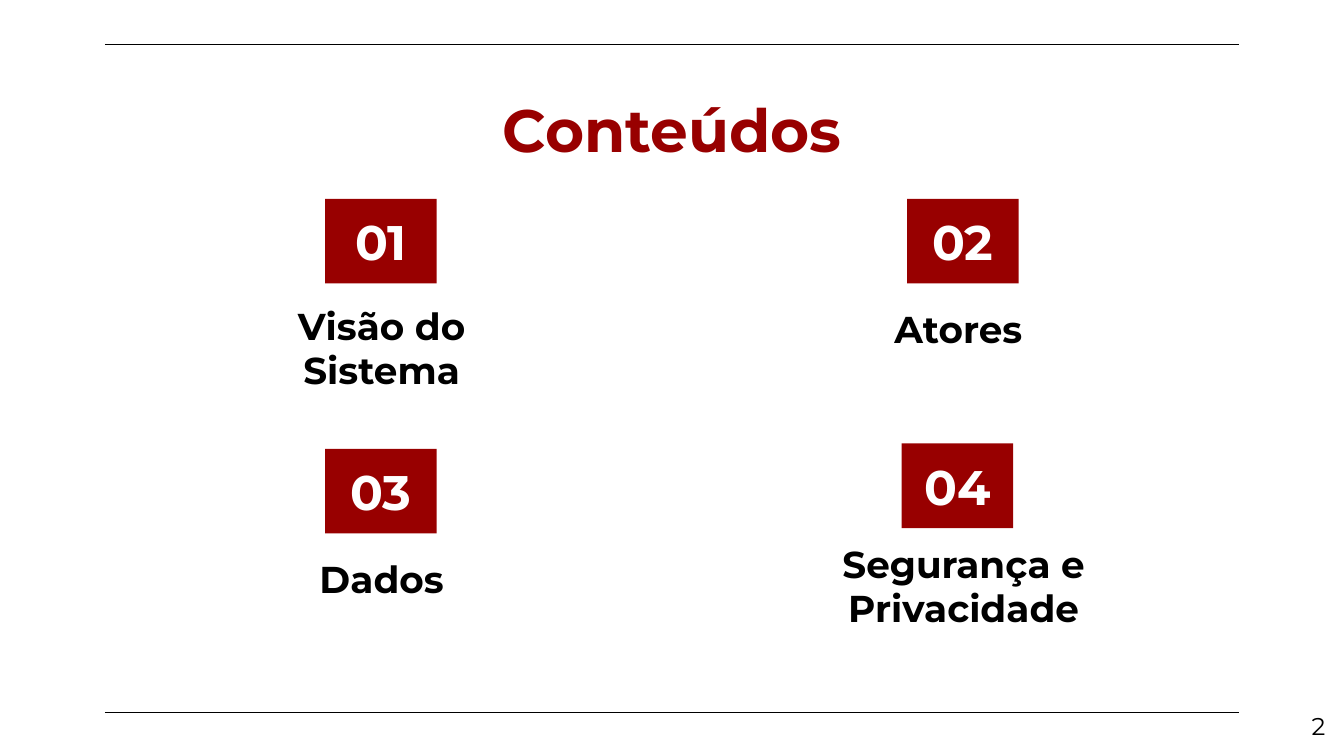
import dataclasses

import pptx
import pptx.dml.color
import pptx.enum.shapes
import pptx.enum.text
import pptx.oxml
import pptx.oxml.ns
import pptx.util

Inches = pptx.util.Inches
ALIGN = pptx.enum.text.PP_ALIGN
ANCHOR = pptx.enum.text.MSO_ANCHOR


@dataclasses.dataclass(frozen=True)
class Theme:
    font: str = "Montserrat"
    accent: str = "980000"
    ink: str = "000000"
    paper: str = "FFFFFF"
    title_size: float = 32
    number_size: float = 26
    topic_size: float = 20
    page_size: float = 13
    rule_width: float = 0.75


@dataclasses.dataclass(frozen=True)
class Box:
    left: float
    top: float
    width: float
    height: float

    def lengths(self) -> list[int]:
        return [Inches(value) for value in dataclasses.astuple(self)]


@dataclasses.dataclass(frozen=True)
class Topic:
    label: str
    badge_left: float
    badge_top: float
    label_box: Box


THEME = Theme()
BADGE_WIDTH, BADGE_HEIGHT = 0.83, 0.63
RULE_LEFT, RULE_RIGHT = 0.78, 9.22
RULE_TOPS = (0.33, 5.3)

TOPICS = [
    Topic("Visão do Sistema", 2.42, 1.48, Box(1.5, 2.23, 2.68, 0.79)),
    Topic("Atores ", 6.75, 1.48, Box(5.96, 2.23, 2.42, 0.48)),
    Topic("Dados", 2.42, 3.34, Box(1.63, 4.09, 2.42, 0.48)),
    Topic("Segurança e Privacidade", 6.71, 3.3, Box(5.83, 3.97, 2.68, 0.82)),
]


def color(value: str) -> pptx.dml.color.RGBColor:
    return pptx.dml.color.RGBColor.from_string(value)


def write_text(shape, text: str, *, size: float, ink: str, bold: bool = True,
               align=ALIGN.CENTER, anchor=ANCHOR.TOP) -> None:
    """Fill a shape with one formatted paragraph."""
    frame = shape.text_frame
    frame.word_wrap = True
    frame.auto_size = pptx.enum.text.MSO_AUTO_SIZE.NONE
    frame.vertical_anchor = anchor
    frame.margin_left = frame.margin_right = Inches(0.1)
    frame.margin_top = frame.margin_bottom = Inches(0.1)
    paragraph = frame.paragraphs[0]
    paragraph.alignment = align
    paragraph.line_spacing = 1.0
    paragraph.space_before = pptx.util.Pt(0)
    run = paragraph.add_run()
    run.text = text
    run.font.name = THEME.font
    run.font.size = pptx.util.Pt(size)
    run.font.bold = bold
    run.font.color.rgb = color(ink)


def draw_rule(slide, top: float) -> None:
    rule = slide.shapes.add_connector(
        pptx.enum.shapes.MSO_CONNECTOR.STRAIGHT,
        Inches(RULE_LEFT), Inches(top), Inches(RULE_RIGHT), Inches(top))
    rule.line.color.rgb = color(THEME.ink)
    rule.line.width = pptx.util.Pt(THEME.rule_width)
    properties = rule._element.spPr
    properties.append(pptx.oxml.parse_xml(
        f'<a:effectLst {pptx.oxml.ns.nsdecls("a")}/>'))


def draw_topic(slide, number: int, topic: Topic) -> None:
    label = slide.shapes.add_textbox(*topic.label_box.lengths())
    write_text(label, topic.label, size=THEME.topic_size, ink=THEME.ink,
               anchor=ANCHOR.BOTTOM)
    badge_box = Box(topic.badge_left, topic.badge_top, BADGE_WIDTH, BADGE_HEIGHT)
    badge = slide.shapes.add_shape(
        pptx.enum.shapes.MSO_SHAPE.RECTANGLE, *badge_box.lengths())
    badge.shadow.inherit = False
    badge.fill.solid()
    badge.fill.fore_color.rgb = color(THEME.accent)
    badge.line.fill.background()
    write_text(badge, f"{number:02d}", size=THEME.number_size, ink=THEME.paper,
               anchor=ANCHOR.MIDDLE)


def main() -> None:
    # Widescreen slide, 16 to 9
    presentation = pptx.Presentation()
    presentation.slide_width = Inches(10)
    presentation.slide_height = Inches(10 * 9 / 16)
    slide = presentation.slides.add_slide(
        presentation.slide_layouts.get_by_name("Title Only"))
    slide.background.fill.solid()
    slide.background.fill.fore_color.rgb = color(THEME.paper)

    # Rules at the top and bottom
    for top in RULE_TOPS:
        draw_rule(slide, top)

    # Title
    title = slide.shapes.title
    title.left, title.top, title.width, title.height = Box(
        RULE_LEFT, 0.59, RULE_RIGHT - RULE_LEFT, 0.63).lengths()
    write_text(title, "Conteúdos", size=THEME.title_size, ink=THEME.accent)

    # Numbered topics
    for number, topic in enumerate(TOPICS, start=1):
        draw_topic(slide, number, topic)

    # Page number
    page = slide.shapes.add_textbox(*Box(9.36, 5.19, 0.6, 0.43).lengths())
    write_text(page, "2", size=THEME.page_size, ink=THEME.ink, bold=False,
               align=ALIGN.RIGHT)

    presentation.save("out.pptx")


if __name__ == "__main__":
    main()
